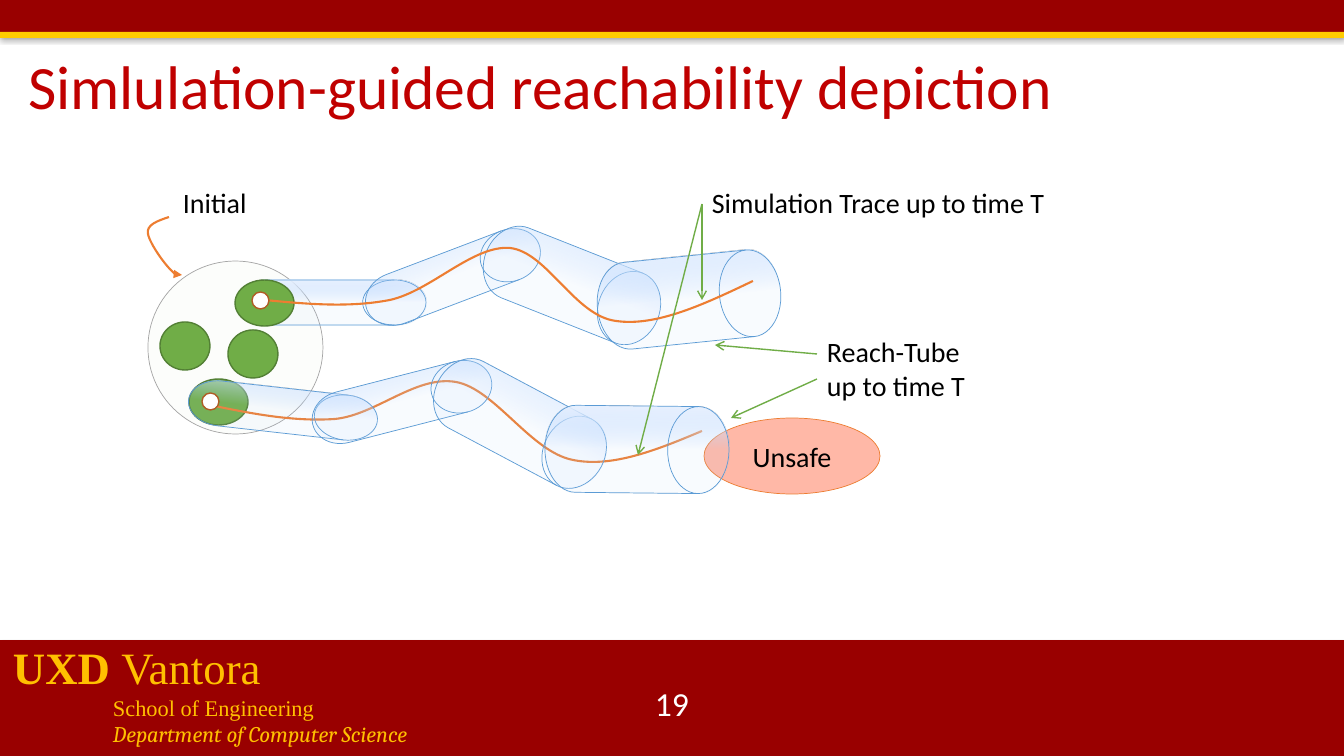
from dataclasses import dataclass
from typing import NamedTuple

from lxml import etree
from pptx import Presentation
from pptx.dml.color import RGBColor
from pptx.enum.shapes import MSO_CONNECTOR, MSO_SHAPE
from pptx.enum.text import MSO_ANCHOR, PP_ALIGN
from pptx.oxml.ns import qn
from pptx.util import Emu, Pt

PX = 914400 / 100.8


@dataclass(frozen=True)
class Theme:
    cardinal: str = "990000"
    gold: str = "FFCC00"
    brand: str = "FFC000"
    title: str = "C00000"
    ink: str = "000000"
    white: str = "FFFFFF"
    unsafe: str = "FFB8A7"
    orange: str = "ED7D31"
    rust: str = "AF5C24"
    initial: str = "E2F0D9"
    gray: str = "A5A5A5"
    green: str = "70AD47"
    dark_green: str = "538035"
    tube_line: str = "5B9BD5"
    tube_low: str = "B0D2FF"
    tube_top: str = "EAF2FF"
    font: str = "Calibri"
    serif: str = "Times New Roman"
    dept_font: str = "Cambria"
    title_size: int = 44
    brand_size: int = 32
    number_size: int = 24
    label_size: int = 20
    small_size: int = 16


class Box(NamedTuple):
    x: int
    y: int
    w: int
    h: int


class Tube(NamedTuple):
    box: Box
    angle: float


T = Theme()
prs = Presentation()
prs.slide_width, prs.slide_height = Emu(12192000), Emu(6858000)
s = prs.slides.add_slide(prs.slide_layouts[5])


def px(*values: int) -> list[Emu]:
    return [Emu(round(v * PX)) for v in values]


def rgb(color: str) -> RGBColor:
    return RGBColor.from_string(color)


def sub(parent, tag: str, **attrs):
    return etree.SubElement(parent, qn(tag), {k: str(v) for k, v in attrs.items()})


def set_alpha(fill_element, percent: int) -> None:
    sub(fill_element, "a:alpha", val=percent * 1000)


def stroke(line, color: str, width: float, head: str | None = None) -> None:
    line.color.rgb = rgb(color)
    line.width = Pt(width)
    if head:
        sub(line._ln, "a:tailEnd", type=head)


def write(p, text: str, size=T.label_size, color=T.ink, font=T.font,
          bold=False, italic=False, align=PP_ALIGN.LEFT) -> None:
    p.alignment = align
    r = p.add_run()
    r.text = text
    f = r.font
    f.size, f.name, f.bold, f.italic = Pt(size), font, bold, italic
    f.color.rgb = rgb(color)


def shape(kind, box: Box, fill: str | None = None, line: str | None = None, width=1.0):
    sp = s.shapes.add_shape(kind, *px(*box))
    sp.shadow.inherit = False
    if fill:
        sp.fill.solid()
        sp.fill.fore_color.rgb = rgb(fill)
    if line:
        stroke(sp.line, line, width)
    else:
        sp.line.fill.background()
    return sp


def bar(box: Box, fill: str) -> None:
    sp = shape(MSO_SHAPE.RECTANGLE, box, fill)
    effects = sp._element.spPr.find(qn("a:effectLst"))
    shadow = sub(effects, "a:outerShdw", blurRad=40000, dist=23000, dir=5400000, rotWithShape=0)
    set_alpha(sub(shadow, "a:srgbClr", val=T.ink), 35)


def ellipse(box: Box, fill: str, line: str, width=1.0):
    return shape(MSO_SHAPE.OVAL, box, fill, line, width)


def tube(t: Tube) -> None:
    sp = shape(MSO_SHAPE.FLOWCHART_DIRECT_ACCESS_STORAGE, t.box, line=T.tube_line, width=0.5)
    sp.rotation = t.angle
    sp.fill.gradient()
    sp.fill.gradient_angle = 90
    low, top = sp.fill.gradient_stops
    low.position, low.color.rgb = 0.51, rgb(T.tube_low)
    top.position, top.color.rgb = 1.0, rgb(T.tube_top)
    first = sp._element.spPr.find(qn("a:gradFill")).find(".//" + qn("a:srgbClr"))
    set_alpha(first, 9)


def curve(points: list[tuple[int, int]], head: str | None = None) -> None:
    """Draw cubic Bezier pieces: a start, then two handles and an end for each."""
    fb = s.shapes.build_freeform(*points[0], scale=PX)
    fb.add_line_segments(points[1:], close=False)
    sp = fb.convert_to_shape()
    sp.shadow.inherit = False
    sp.fill.background()
    stroke(sp.line, T.orange, 1.5, head)
    path = sp._element.spPr.find(".//" + qn("a:path"))
    steps = path.findall(qn("a:lnTo"))
    for i in range(0, len(steps), 3):
        bezier = sub(path, "a:cubicBezTo")
        for step in steps[i:i + 3]:
            bezier.append(step[0])
            path.remove(step)


def arrow(x1: int, y1: int, x2: int, y2: int) -> None:
    c = s.shapes.add_connector(MSO_CONNECTOR.STRAIGHT, *px(x1, y1, x2, y2))
    stroke(c.line, T.green, 1, "arrow")
    sub(c._element.spPr, "a:effectLst")


def text_box(box: Box, wrap=True):
    tf = s.shapes.add_textbox(*px(*box)).text_frame
    tf.word_wrap = wrap
    return tf


# Banner and footer
bar(Box(0, 640, 1344, 116), T.cardinal)
bar(Box(0, 0, 1344, 33), T.cardinal)
bar(Box(0, 32, 1344, 6), T.gold)

tf = text_box(Box(3, 635, 630, 119))
p = tf.paragraphs[0]
write(p, "UXD ", T.brand_size, T.brand, T.serif, bold=True)
write(p, "Vantora", T.brand_size, T.brand, T.serif)
for text, font, italic in (("School of Engineering", T.serif, False),
                           ("Department of Computer Science", T.dept_font, True)):
    p = tf.add_paragraph()
    p._p.get_or_add_pPr().set("marL", str(px(100)[0]))
    write(p, text, T.small_size, T.brand, font, italic=italic)

tf = text_box(Box(521, 683, 302, 40))
tf.vertical_anchor = MSO_ANCHOR.MIDDLE
write(tf.paragraphs[0], "19", T.number_size, T.white, align=PP_ALIGN.CENTER)

# Title
title = s.shapes.title
title.left, title.top, title.width, title.height = px(18, 47, 1204, 86)
tf = title.text_frame
tf.vertical_anchor = MSO_ANCHOR.MIDDLE
tf.paragraphs[0].line_spacing = 0.9
write(tf.paragraphs[0], "Simlulation-guided reachability depiction", T.title_size, T.title)

# Unsafe and initial sets
unsafe = ellipse(Box(704, 418, 176, 76), T.unsafe, T.orange, 0.5)
tf = unsafe.text_frame
tf.vertical_anchor = MSO_ANCHOR.MIDDLE
write(tf.paragraphs[0], "Unsafe", align=PP_ALIGN.CENTER)
initial = ellipse(Box(148, 261, 175, 173), T.initial, T.gray, 0.5)
set_alpha(initial._element.spPr.find(qn("a:solidFill"))[0], 10)
for box in (Box(189, 379, 59, 46), Box(160, 322, 50, 48), Box(228, 330, 50, 48)):
    ellipse(box, T.green, T.dark_green)

# Reach-tubes and simulation traces
UPPER_TUBES = [Tube(Box(236, 280, 190, 45), 0), Tube(Box(361, 251, 184, 52), 339.2),
               Tube(Box(480, 248, 184, 75), 21.6), Tube(Box(597, 256, 184, 87), 354.2)]
LOWER_TUBES = [Tube(Box(188, 388, 190, 45), 6.4), Tube(Box(310, 376, 184, 52), 345.6),
               Tube(Box(428, 386, 184, 75), 28), Tube(Box(545, 406, 184, 87), 0.6)]
UPPER_TRACE = [(264, 300), (306, 304), (349, 308), (390, 300), (431, 291), (473, 245), (510, 248),
               (547, 252), (575, 316), (616, 321), (656, 327), (705, 304), (753, 281)]
LOWER_TRACE = [(205, 404), (248, 413), (292, 422), (335, 419), (376, 415), (416, 375), (456, 382),
               (495, 389), (531, 452), (573, 460), (612, 468), (657, 450), (702, 431)]
for t in UPPER_TUBES:
    tube(t)
curve(LOWER_TRACE)
for t in LOWER_TUBES:
    tube(t)
ellipse(Box(202, 393, 17, 17), T.white, T.rust)
ellipse(Box(235, 280, 59, 46), T.green, T.dark_green)
curve(UPPER_TRACE)
ellipse(Box(252, 292, 17, 17), T.white, T.rust)

# Labels and pointers
for text, box, wrap in (("Initial", Box(173, 181, 85, 44), False),
                        ("Simulation Trace up to time T", Box(702, 181, 357, 44), False),
                        ("Reach-Tube up to time T", Box(817, 330, 174, 78), True)):
    write(text_box(box, wrap).paragraphs[0], text)
curve([(169, 217), (157, 221), (146, 225), (148, 234), (150, 244), (178, 285), (182, 275)], "triangle")
for ends in ((702, 204, 702, 300), (702, 204, 638, 455), (817, 354, 715, 345), (817, 379, 731, 418)):
    arrow(*ends)

prs.save("out.pptx")
